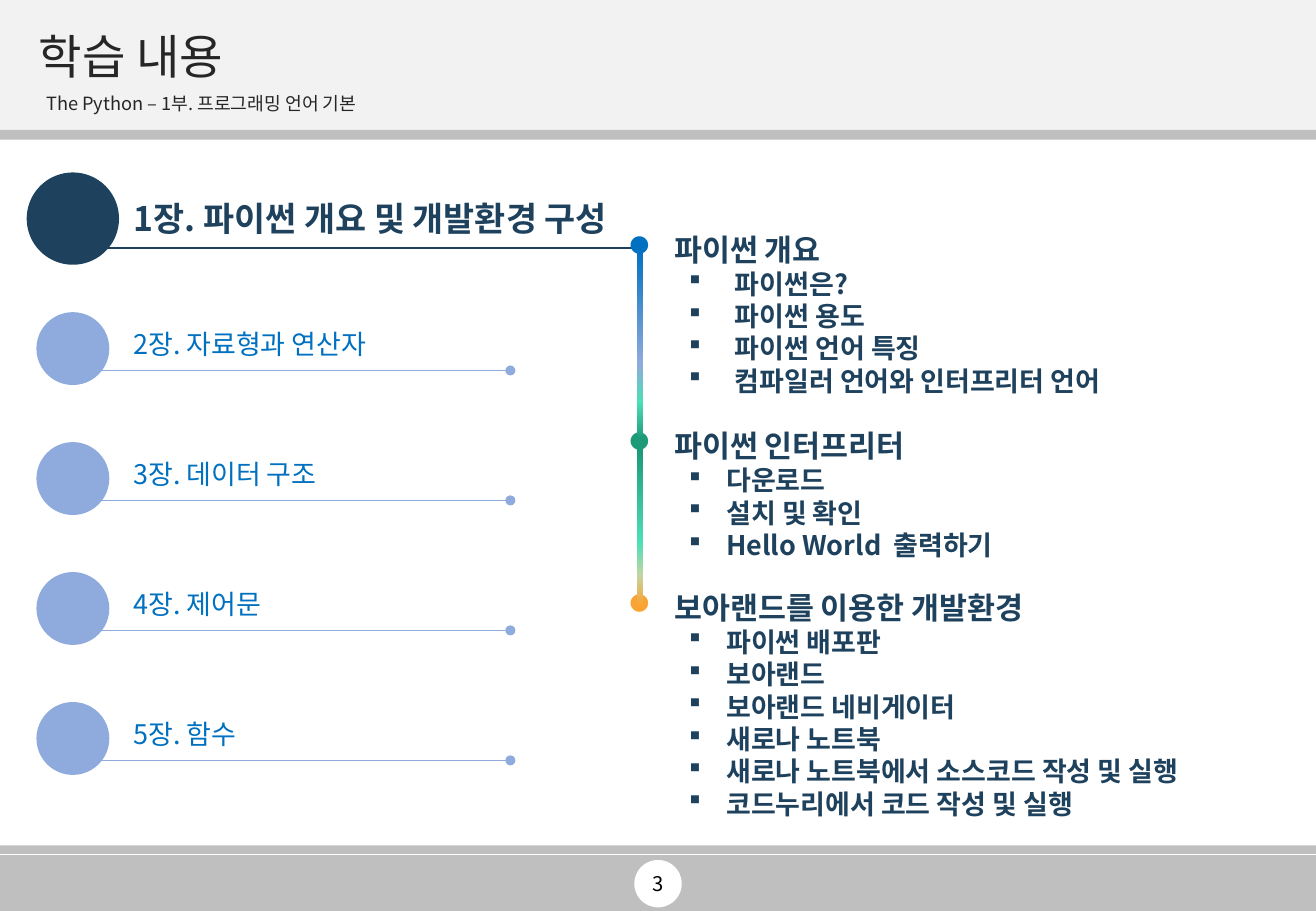
import pptx
import pptx.dml.color
import pptx.enum.shapes
import pptx.enum.text
import pptx.oxml.ns
import pptx.util
from lxml import etree

Inches, Pt = pptx.util.Inches, pptx.util.Pt
SHAPES = pptx.enum.shapes.MSO_SHAPE
ALIGN = pptx.enum.text.PP_ALIGN
qn = pptx.oxml.ns.qn

FONT = "Noto Sans CJK KR"
COLORS = {
    "bar": "BFBFBF", "header": "F2F2F2", "white": "FFFFFF", "black": "000000",
    "title": "262626", "navy": "1E415D", "sky": "8FAADC", "blue": "0070C0",
    "mint": "4EDEB8", "green": "1D9A78", "sage": "C2D5A3", "orange": "FAA332",
}
CHAPTERS = ["2장. 자료형과 연산자", "3장. 데이터 구조", "4장. 제어문", "5장. 함수"]
# Top, width, bullet colour, item indent, hanging indent, heading, items
TOPICS = [
    (1.85, 5.38, "blue", 0.88, 0.38, "파이썬 개요",
     ["파이썬은?", "파이썬 용도", "파이썬 언어 특징",
      "컴파일러 언어와 인터프리터 언어"]),
    (3.47, 4.27, "green", 0.81, 0.31, "파이썬 인터프리터",
     ["다운로드", "설치 및 확인", "Hello World  출력하기"]),
    (4.8, 5.38, "orange", 0.81, 0.31, "보아랜드를 이용한 개발환경",
     ["파이썬 배포판", "보아랜드", "보아랜드 네비게이터", "새로나 노트북",
      "새로나 노트북에서 소스코드 작성 및 실행",
      "코드누리에서 코드 작성 및 실행"]),
]
# Top, height, stops from top to bottom
TIMELINE = [
    (2.05, 1.57, ["blue", "sky", "mint", "green"]),
    (3.7, 1.29, ["green", "mint", "sage", "orange"]),
]
STOP_POSITIONS = [0, 60, 80, 100]


def rgb(name):
    return pptx.dml.color.RGBColor.from_string(COLORS[name])


def add_xml(parent, tag, **attributes):
    return etree.SubElement(parent, qn(tag), attributes)


def write(paragraph, text, size, color, bold=False, align=ALIGN.LEFT, spacing=1.2):
    """Put formatted text into a paragraph; spacing is a multiple of the size."""
    paragraph.alignment = align
    paragraph.line_spacing = Pt(round(size * spacing, 1))
    paragraph.space_before = Pt(0)
    run = paragraph.add_run()
    run.text = text
    run.font.size, run.font.bold, run.font.name = Pt(size), bold, FONT
    run.font.color.rgb = rgb(color)
    add_xml(run.font._element, "a:ea", typeface=FONT)


def add_bullet(paragraph, char, color, left, hanging):
    properties = paragraph._p.get_or_add_pPr()
    properties.set("marL", str(Inches(left)))
    properties.set("indent", str(-Inches(hanging)))
    add_xml(add_xml(properties, "a:buClr"), "a:srgbClr", val=COLORS[color])
    add_xml(properties, "a:buFont", typeface="Wingdings", charset="2")
    add_xml(properties, "a:buChar", char=char)


def prepare_frame(shape, anchor):
    frame = shape.text_frame
    frame.word_wrap = True
    frame.auto_size = pptx.enum.text.MSO_AUTO_SIZE.NONE
    frame.vertical_anchor = anchor
    return frame


def add_text_frame(slide, left, top, width, height, middle=False):
    box = slide.shapes.add_textbox(*map(Inches, (left, top, width, height)))
    anchors = pptx.enum.text.MSO_ANCHOR
    return prepare_frame(box, anchors.MIDDLE if middle else anchors.TOP)


def add_block(slide, kind, left, top, width, height, color=None):
    block = slide.shapes.add_shape(kind, *map(Inches, (left, top, width, height)))
    block.shadow.inherit = False
    block.line.fill.background()
    if color:
        block.fill.solid()
        block.fill.fore_color.rgb = rgb(color)
    return block


def add_header(slide, left, top, width):
    add_block(slide, SHAPES.RECTANGLE, left, top, width, 1.07, "header")
    add_block(slide, SHAPES.RECTANGLE, left, top + 1.07, width, 0.08, "bar")
    title = slide.shapes.title
    slide.shapes._spTree.append(title._element)  # bring in front of the band
    title.left, title.top = Inches(left + 0.22), Inches(top + 0.21)
    title.width, title.height = Inches(width - 0.44), Inches(0.55)
    frame = prepare_frame(title, pptx.enum.text.MSO_ANCHOR.MIDDLE)
    write(frame.paragraphs[0], "학습 내용", 28, "title", spacing=1.08)
    frame = add_text_frame(slide, left + 0.3, top + 0.76, width - 0.51, 0.24, True)
    frame.margin_left = Inches(0.08)
    write(frame.paragraphs[0], "The Python – 1부. 프로그래밍 언어 기본", 10.8,
          "title", spacing=0.84)


def add_footer(slide, left, top, width):
    add_block(slide, SHAPES.RECTANGLE, left, top, width, 0.07, "bar")
    add_block(slide, SHAPES.RECTANGLE, left, top + 0.08, width, 0.46, "bar")
    middle = left + width / 2
    add_block(slide, SHAPES.OVAL, middle - 0.195, top + 0.12, 0.39, 0.39, "white")
    frame = add_text_frame(slide, middle - 1.22, top + 0.12, 2.44, 0.39, True)
    write(frame.paragraphs[0], "3", 12, "black", align=ALIGN.CENTER)


def add_chapter(slide, text, left, top, diameter, line_y, line_end, label_top,
                label_width, size, color, text_color, bold=False):
    add_block(slide, SHAPES.OVAL, left, top, diameter, diameter, color)
    rule = slide.shapes.add_connector(
        pptx.enum.shapes.MSO_CONNECTOR.STRAIGHT,
        *map(Inches, (0.79, line_y, line_end, line_y)))
    rule.line.width = Pt(1)
    rule.line.color.rgb = rgb(color)
    add_xml(rule.line._get_or_add_ln(), "a:tailEnd", type="oval")
    add_xml(rule._element.spPr, "a:effectLst")
    frame = add_text_frame(slide, 1, label_top, label_width, size * 1.2 / 72 + 0.1)
    write(frame.paragraphs[0], text, size, text_color, bold)


def add_chapters(slide, left, top):
    # Current chapter
    add_chapter(slide, "1장. 파이썬 개요 및 개발환경 구성", left, top, 0.76,
                top + 0.62, 5.26, top + 0.16, 4.62, 20, "navy", "navy", True)
    # Following chapters, evenly spaced
    for index, text in enumerate(CHAPTERS):
        row = top + 1.15 + 1.07 * index
        add_chapter(slide, text, left + 0.08, row, 0.6, row + 0.48, 4.2,
                    row + 0.08, 2.54, 16, "sky", "blue")


def add_topics(slide, left):
    for top, width, color, indent, hanging, heading, items in TOPICS:
        height = 0.4 + 0.27 * len(items)
        frame = add_text_frame(slide, left, top, width, height)
        write(frame.paragraphs[0], heading, 18, "navy", True)
        add_bullet(frame.paragraphs[0], "l", color, 0.38, 0.38)
        for item in items:
            paragraph = frame.add_paragraph()
            paragraph.level = 1
            write(paragraph, item, 16, "navy", True)
            add_bullet(paragraph, "§", "navy", indent, hanging)


def add_timeline(slide, left):
    for top, height, colors in TIMELINE:
        bar = add_block(slide, SHAPES.RECTANGLE, left, top, 0.05, height)
        bar.fill.gradient()
        bar.fill.gradient_angle = 270
        stops = bar._element.spPr.find(".//" + qn("a:gsLst"))
        for stop in list(stops):
            stops.remove(stop)
        for position, color in zip(STOP_POSITIONS, colors):
            stop = add_xml(stops, "a:gs", pos=str(position * 1000))
            add_xml(stop, "a:srgbClr", val=COLORS[color])


def main():
    presentation = pptx.Presentation()
    presentation.slide_width = Inches(10.83)
    presentation.slide_height = Inches(7.5)
    slide = presentation.slides.add_slide(presentation.slide_layouts[5])
    add_footer(slide, 0, 6.96, 10.83)
    add_header(slide, 0, 0, 10.83)
    add_chapters(slide, 0.22, 1.42)
    add_topics(slide, 5.07)
    add_timeline(slide, 5.24)
    presentation.save("out.pptx")


if __name__ == "__main__":
    main()
